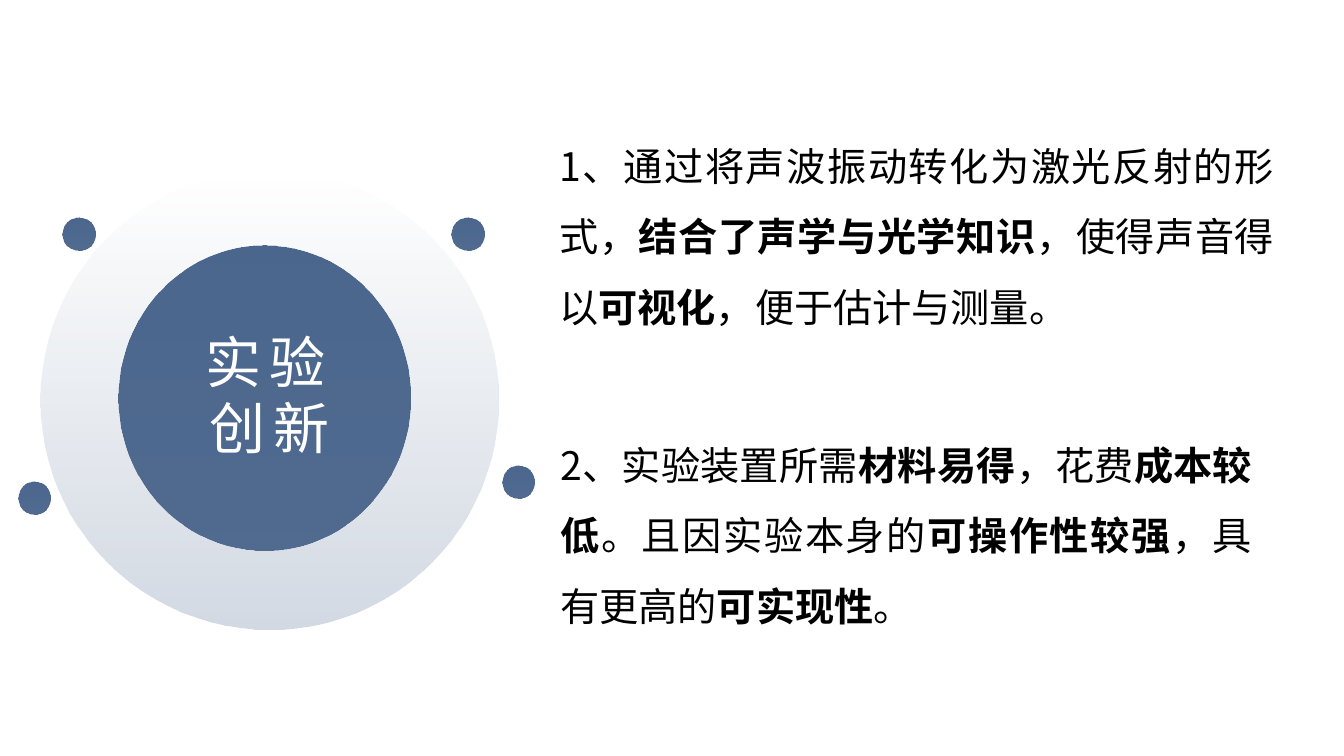
from lxml.etree import SubElement
from pptx import Presentation
from pptx.dml.color import RGBColor
from pptx.enum.shapes import MSO_SHAPE
from pptx.enum.text import PP_ALIGN
from pptx.oxml.ns import qn
from pptx.util import Pt

COLORS = {"blue": "4C678E", "white": "FFFFFF", "black": "000000"}
FONT = "Noto Sans CJK SC"

TITLE = [("实验创新", False)]
POINTS = [
    [("1、通过将声波振动转化为激光反射的形式，", False),
     ("结合了声学与光学知识", True),
     ("，使得声音得以", False),
     ("可视化", True),
     ("，便于估计与测量。", False)],
    [("2、实验装置所需", False),
     ("材料易得", True),
     ("，花费", False),
     ("成本较低", True),
     ("。且因实验本身的", False),
     ("可操作性较强", True),
     ("，具有更高的", False),
     ("可实现性", True),
     ("。", False)],
]

# left, top, width, height in points
HALO = (28.8, 121.7, 327.6, 327.6)
DISC = (85, 175.7, 208, 217.4)
TITLE_BOX = (129.6, 230.5, 126, 104.4)
POINT_BOXES = [(399.6, 84.5, 510.5, 152.6), (400.3, 298.3, 494, 152.6)]
DOT_SIZE = 23.3
DOTS = [(44.6, 155.5), (322.6, 155.5), (13, 344), (358.6, 332.6)]


def add_disc(slide, box, opacity):
    """Ellipse fading downwards; opacity holds the top and bottom percent."""
    sp = slide.shapes.add_shape(MSO_SHAPE.OVAL, *map(Pt, box))
    sp.shadow.inherit = False
    sp.line.fill.background()
    sp.fill.gradient()
    sp.fill.gradient_angle = 270
    for stop, percent in zip(sp.fill.gradient_stops, opacity):
        stop.color.rgb = RGBColor.from_string(COLORS["blue"])
    colors = sp._element.spPr.iter(qn("a:srgbClr"))
    for color, percent in zip(list(colors), opacity):
        SubElement(color, qn("a:alpha")).set("val", str(percent * 1000))


def add_text(slide, box, runs, size, color, align, pitch, inset=(0, 0), spacing=0):
    tf = slide.shapes.add_textbox(*map(Pt, box)).text_frame
    tf.word_wrap = True
    tf.margin_left = tf.margin_right = Pt(inset[0])
    tf.margin_top = tf.margin_bottom = Pt(inset[1])
    p = tf.paragraphs[0]
    p.alignment = align
    p.line_spacing = Pt(pitch)
    for text, bold in runs:
        r = p.add_run()
        r.text = text
        r.font.size = Pt(size)
        r.font.bold = bold
        r.font.name = FONT
        r.font.color.rgb = RGBColor.from_string(COLORS[color])
        rPr = r.font._element
        SubElement(rPr, qn("a:ea")).set("typeface", FONT)
        if spacing:
            rPr.set("spc", str(spacing * 100))


def main():
    prs = Presentation()
    prs.slide_width, prs.slide_height = Pt(960), Pt(540)
    slide = prs.slides.add_slide(prs.slide_layouts[6])

    add_disc(slide, HALO, (0, 25))
    add_disc(slide, DISC, (100, 97))
    for left, top in DOTS:
        add_disc(slide, (left, top, DOT_SIZE, DOT_SIZE), (100, 97))

    add_text(slide, TITLE_BOX, TITLE, 40, "white", PP_ALIGN.CENTER, 47.5,
             inset=(7.2, 3.6), spacing=6)
    for box, runs in zip(POINT_BOXES, POINTS):
        add_text(slide, box, runs, 28, "black", PP_ALIGN.JUSTIFY, 50.4)

    prs.save("out.pptx")


if __name__ == "__main__":
    main()
